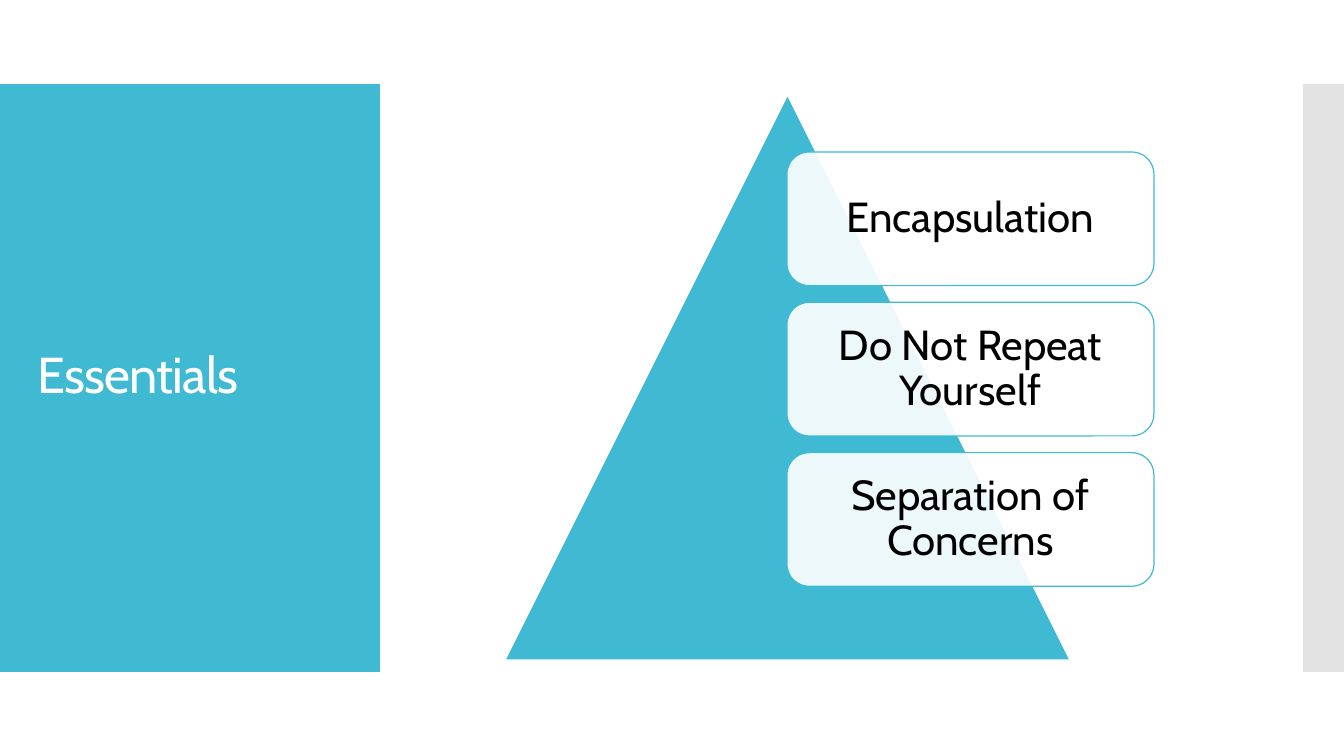
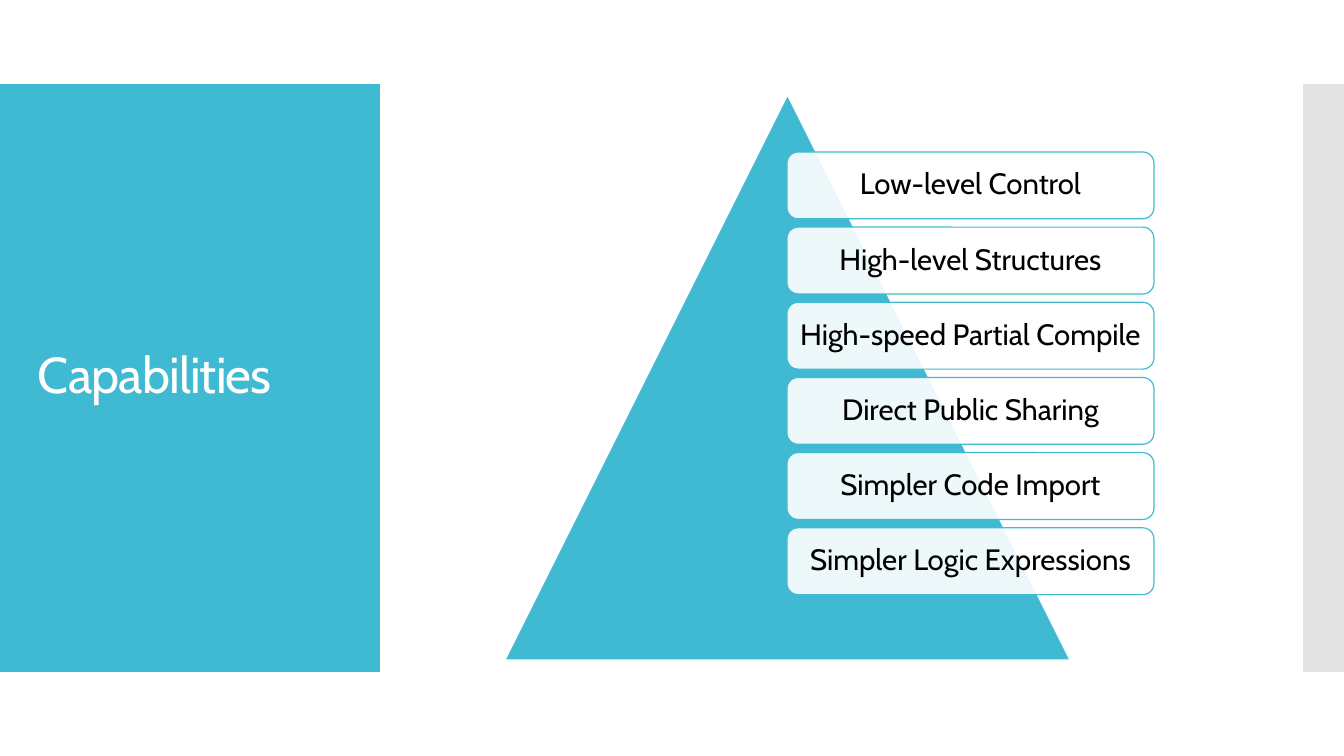
"""Build two slides that list topics on cards in front of a triangle."""
import pptx
import pptx.dml.color
import pptx.enum.shapes
import pptx.enum.text
import pptx.oxml
import pptx.oxml.ns
import pptx.util

SCALE = 914400 / 100.8
SLIDE_WIDTH, SLIDE_HEIGHT = 1344, 756
BAND_TOP, BAND_HEIGHT = 84, 588
TITLE_WIDTH, EDGE_LEFT = 380, 1303
CARD_LEFT, CARD_TOP, CARD_WIDTH = 787, 152, 367
CARDS_HEIGHT = 451
CARD_SHARE = 8 / 9
LINE_WIDTH = 0.85
FONT = "Cabin"
COLOURS = {"accent": "40BAD2", "edge": "C8C8C8", "white": "FFFFFF", "black": "000000"}
SHAPES = pptx.enum.shapes.MSO_SHAPE
ALIGN = pptx.enum.text.PP_ALIGN

SLIDES = [
    ("Essentials", 30, ["Encapsulation", "Do Not Repeat Yourself", "Separation of Concerns"]),
    ("Capabilities", 21, [
        "Low-level Control",
        "High-level Structures",
        "High-speed Partial Compile",
        "Direct Public Sharing",
        "Simpler Code Import",
        "Simpler Logic Expressions",
    ]),
]


def emu(pixels):
    """Turn pixels into EMU."""
    return pptx.util.Emu(round(pixels * SCALE))


def colour(name):
    """Return the named colour."""
    return pptx.dml.color.RGBColor.from_string(COLOURS[name])


def add_shape(slide, kind, box, fill, line=None, opacity=100):
    """Add a filled preset shape, with an outline if a line colour is given."""
    shape = slide.shapes.add_shape(kind, *map(emu, box))
    shape.shadow.inherit = False
    shape.fill.solid()
    shape.fill.fore_color.rgb = colour(fill)
    if opacity < 100:
        fill_colour = shape.fill._xPr.find(".//" + pptx.oxml.ns.qn("a:srgbClr"))
        alpha = pptx.oxml.parse_xml(f'<a:alpha {pptx.oxml.ns.nsdecls("a")} val="{opacity * 1000}"/>')
        fill_colour.append(alpha)
    if line:
        shape.line.color.rgb = colour(line)
        shape.line.width = pptx.util.Pt(LINE_WIDTH)
    else:
        shape.line.fill.background()
    return shape


def set_text(shape, text, size, font_colour, alignment):
    """Write one vertically centred paragraph and return its run."""
    frame = shape.text_frame
    frame.text = text
    frame.word_wrap = True
    frame.vertical_anchor = pptx.enum.text.MSO_ANCHOR.MIDDLE
    paragraph = frame.paragraphs[0]
    paragraph.alignment = alignment
    paragraph.line_spacing = 0.9
    run = paragraph.runs[0]
    run.font.name = FONT
    run.font.size = pptx.util.Pt(size)
    run.font.color.rgb = colour(font_colour)
    return run


def add_frame(slide, title):
    """Add the title band, the edge band and the title."""
    add_shape(slide, SHAPES.RECTANGLE, (0, BAND_TOP, TITLE_WIDTH, BAND_HEIGHT), "accent")
    edge_box = (EDGE_LEFT, BAND_TOP, SLIDE_WIDTH - EDGE_LEFT, BAND_HEIGHT)
    add_shape(slide, SHAPES.RECTANGLE, edge_box, "edge", opacity=50)
    title_box = slide.shapes.add_textbox(*map(emu, (28, 124, 325, 507)))
    run = set_text(title_box, title, 36, "white", ALIGN.LEFT)
    run.font._element.set("spc", "-60")


def add_card(slide, text, top, height, size):
    """Add a translucent rounded card with centred text."""
    box = (CARD_LEFT, top, CARD_WIDTH, height)
    card = add_shape(slide, SHAPES.ROUNDED_RECTANGLE, box, "white", "accent", 90)
    set_text(card, text, size, "black", ALIGN.CENTER)
    frame = card.text_frame
    inset = emu(round(size * 0.4))
    frame.margin_left = frame.margin_right = frame.margin_top = frame.margin_bottom = inset


def add_pyramid_list(slide, items, size):
    """Add the triangle and an evenly spaced column of cards."""
    add_shape(slide, SHAPES.ISOSCELES_TRIANGLE, (505, 95, 565, 565), "accent", "white")
    pitch = CARDS_HEIGHT / len(items)
    for index, item in enumerate(items):
        add_card(slide, item, CARD_TOP + index * pitch, pitch * CARD_SHARE, size)


def main():
    """Build and save the presentation."""
    presentation = pptx.Presentation()
    presentation.slide_width = emu(SLIDE_WIDTH)
    presentation.slide_height = emu(SLIDE_HEIGHT)
    for title, size, items in SLIDES:
        slide = presentation.slides.add_slide(presentation.slide_layouts[6])
        add_frame(slide, title)
        add_pyramid_list(slide, items, size)
    presentation.save("out.pptx")


main()
